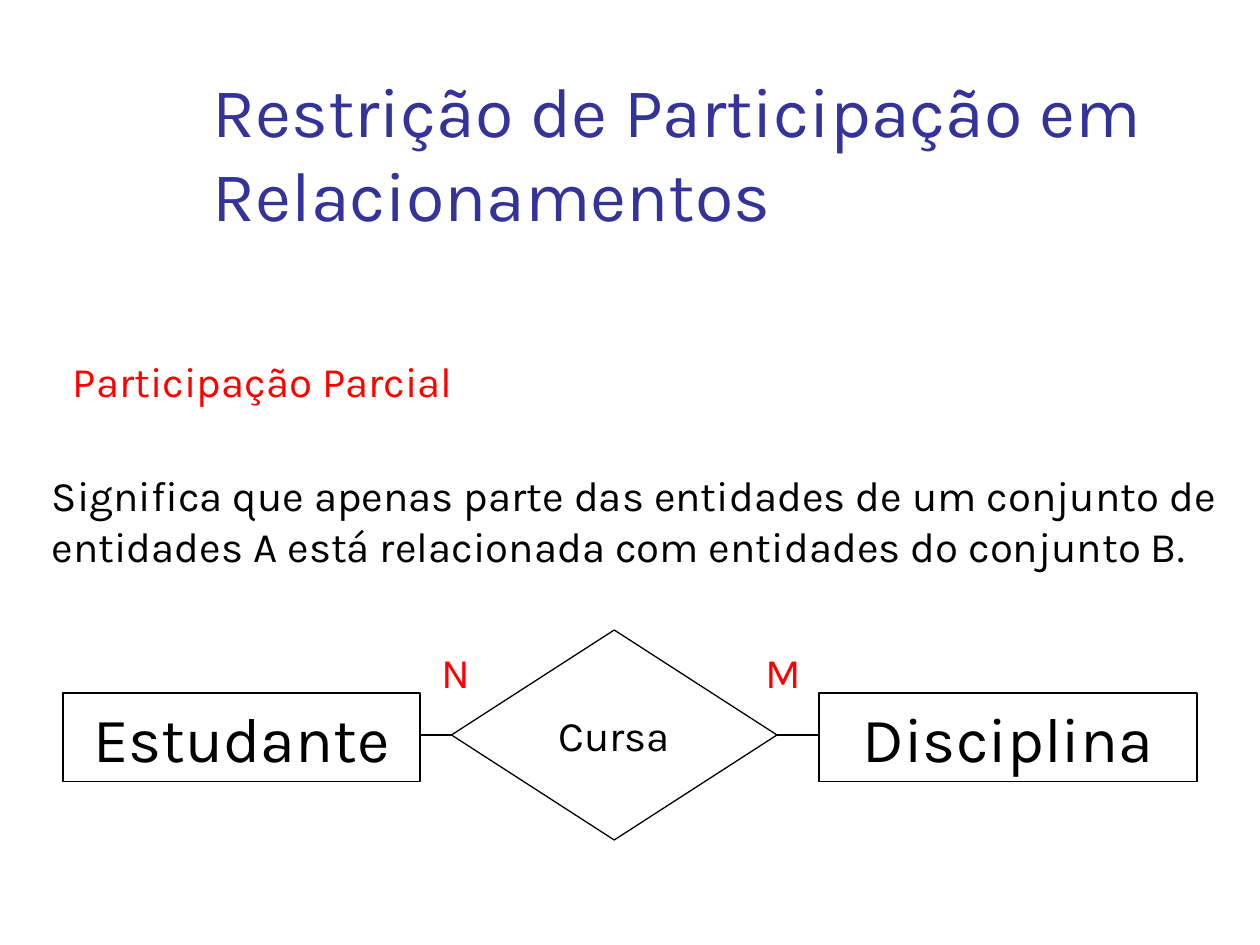
from lxml.etree import SubElement
from pptx import Presentation
from pptx.dml.color import RGBColor
from pptx.enum.shapes import MSO_CONNECTOR, MSO_SHAPE
from pptx.enum.text import MSO_ANCHOR, PP_ALIGN
from pptx.oxml.ns import qn
from pptx.util import Pt

BLACK, RED, BLUE, WHITE = "000000", "FF0000", "333399", "FFFFFF"


def color(code):
    return RGBColor.from_string(code)


def write(frame, text, size=24, ink=BLACK, align=PP_ALIGN.LEFT,
          anchor=MSO_ANCHOR.TOP, wrap=False):
    """Fill a text frame, one paragraph for each line of text."""
    frame.word_wrap = wrap
    frame.vertical_anchor = anchor
    frame.text = text
    for par in frame.paragraphs:
        par.alignment = align
        font = par.runs[0].font
        font.name, font.size = "Karla", Pt(size)
        font.color.rgb = color(ink)


class Board:
    """Holds the slide and the line style of the diagram."""

    def __init__(self, deck, weight=0.75):
        self.slide = deck.slides.add_slide(deck.slide_layouts[6])
        self.weight = weight

    def label(self, box, text, **style):
        item = self.slide.shapes.add_textbox(*map(Pt, box))
        write(item.text_frame, text, **style)

    def node(self, kind, box, text, **style):
        item = self.slide.shapes.add_shape(kind, *map(Pt, box))
        item.shadow.inherit = False
        item.fill.solid()
        item.fill.fore_color.rgb = color(WHITE)
        self.stroke(item.line)
        write(item.text_frame, text, align=PP_ALIGN.CENTER, **style)

    def link(self, start, end):
        item = self.slide.shapes.add_connector(
            MSO_CONNECTOR.STRAIGHT, *map(Pt, start + end))
        self.stroke(item.line)
        SubElement(item._element.spPr, qn("a:effectLst"))

    def stroke(self, line):
        line.color.rgb = color(BLACK)
        line.width = Pt(self.weight)


def main():
    deck = Presentation()
    deck.slide_width, deck.slide_height = Pt(720), Pt(540)
    board = Board(deck)

    # Title and definition
    board.label((114.5, 48, 629, 90),
                "Restrição de Participação em Relacionamentos",
                size=40, ink=BLUE, anchor=MSO_ANCHOR.BOTTOM, wrap=True)
    board.label((34.5, 199.5, 234, 36), "Participação Parcial", ink=RED)
    board.label((22.5, 265, 695, 65),
                "Significa que apenas parte das entidades de um conjunto de\n"
                "entidades A está relacionada com entidades do conjunto B.")

    # Relationship diagram
    board.link((240, 420), (474, 420))
    board.node(MSO_SHAPE.DIAMOND, (258, 360, 186, 120), "Cursa",
               anchor=MSO_ANCHOR.MIDDLE)
    for left, width, name in ((36, 204, "Estudante"), (468, 216, "Disciplina")):
        board.node(MSO_SHAPE.RECTANGLE, (left, 396, width, 50.5), name,
                   size=36, wrap=True)

    # Cardinalities
    for left, mark in ((245, "N"), (430.5, "M")):
        board.label((left, 366, 36, 36), mark, ink=RED)

    deck.save("out.pptx")


if __name__ == "__main__":
    main()
